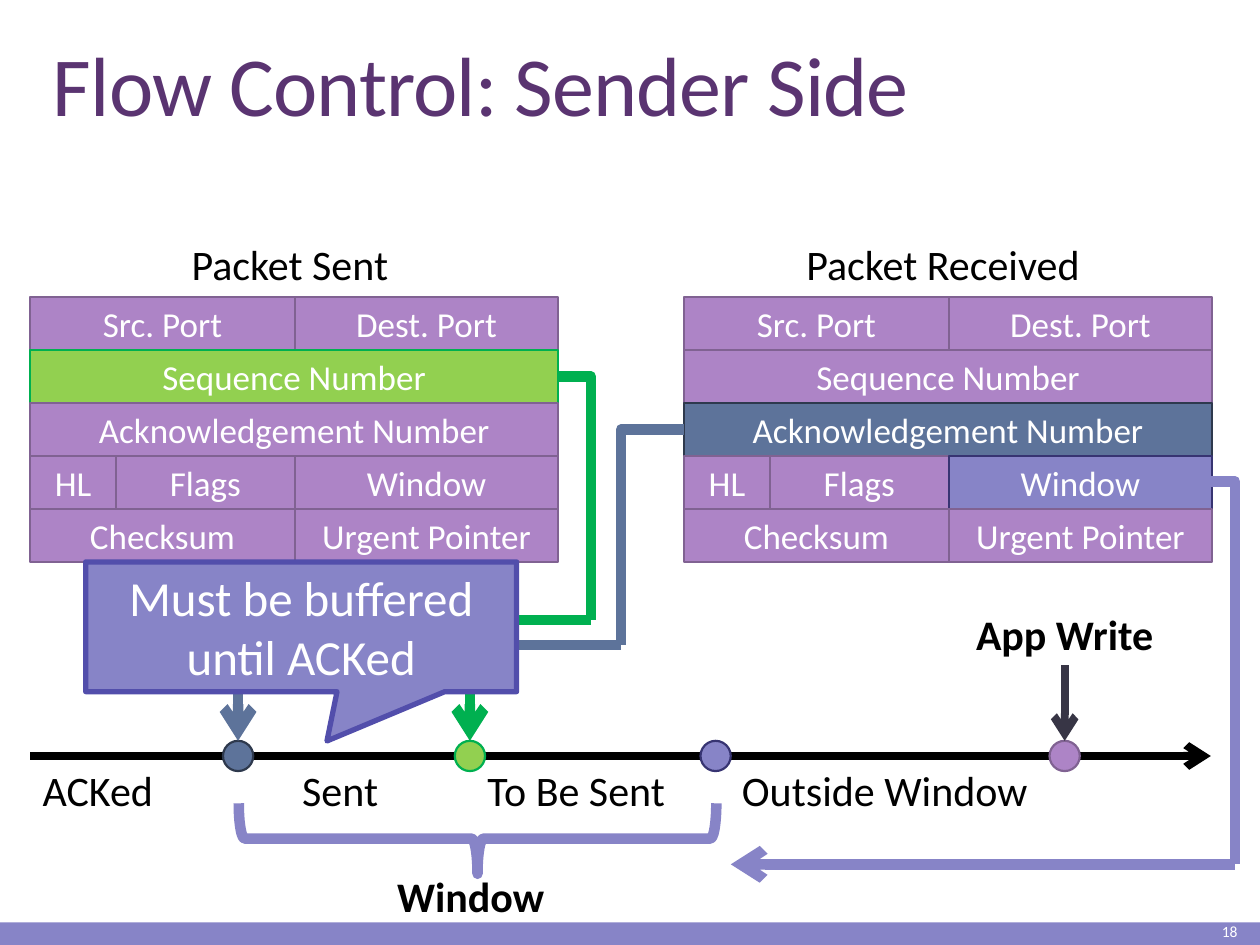
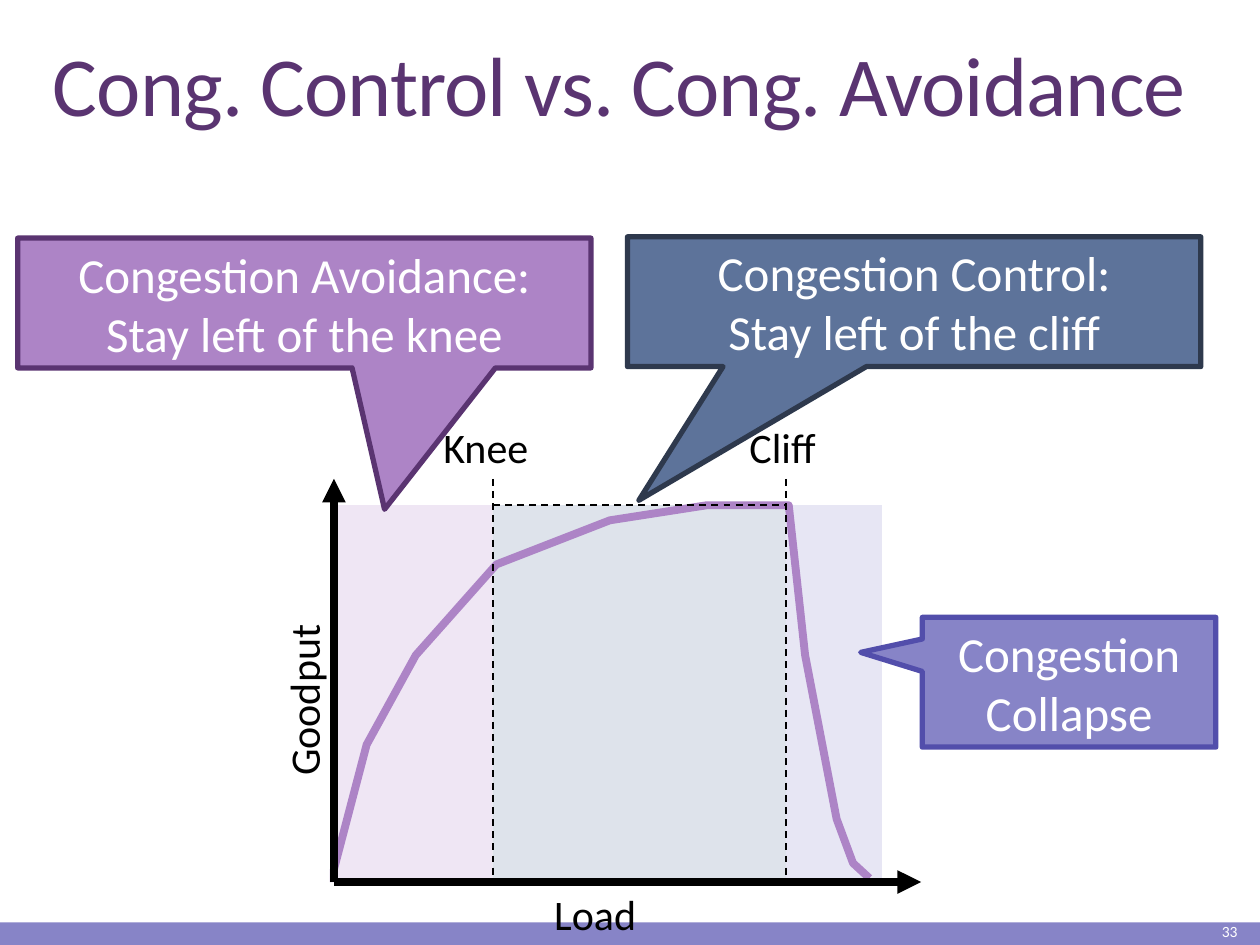
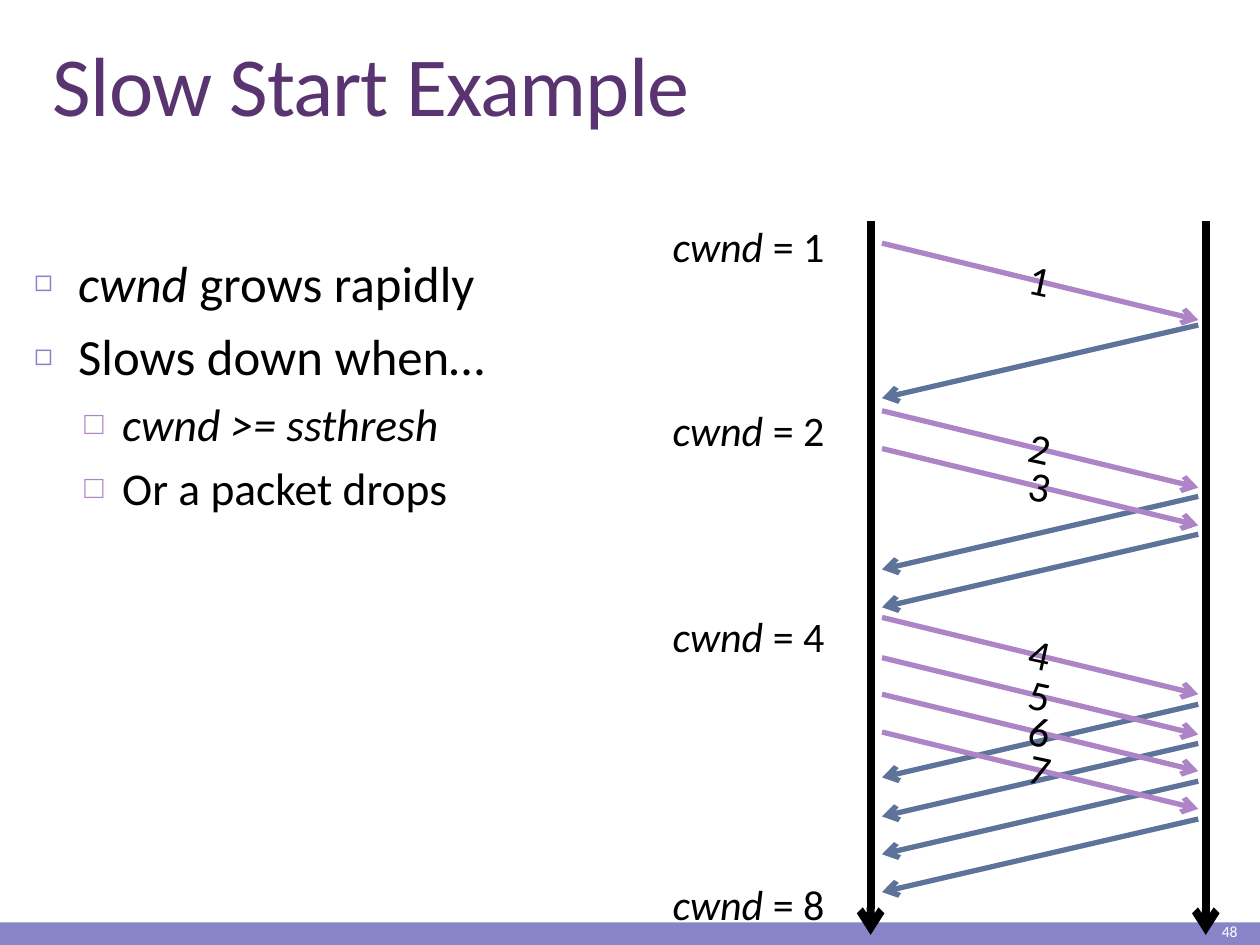
"""Build three slides on flow control, congestion and slow start."""
from lxml import etree
from pptx import Presentation
from pptx.dml.color import RGBColor
from pptx.enum.dml import MSO_LINE
from pptx.enum.shapes import MSO_CONNECTOR as Conn, MSO_SHAPE as Form
from pptx.enum.text import MSO_ANCHOR as Anchor, MSO_AUTO_SIZE as Auto, PP_ALIGN as Align
from pptx.oxml.ns import qn
from pptx.util import Inches, Pt

FONT = "Calibri"
HUE = {
    "white": "FFFFFF", "black": "000000", "title": "5A3471", "ink": "373545",
    "mauve": "AD84C6", "plum": "806292", "slate": "5D739A", "navy": "2E394D",
    "iris": "8784C7", "deep": "373472", "indigo": "524EAB",
    "lime": "92D050", "green": "00B050",
    "pink": "EFE6F4", "mist": "DEE3EB", "lilac": "E7E6F4",
}

ROW = 0.42
CELLS = [
    ("Src. Port", 0, 0, 2.1), ("Dest. Port", 0, 2.1, 2.09),
    ("Sequence Number", 1, 0, 4.19), ("Acknowledgement Number", 2, 0, 4.19),
    ("HL", 3, 0, 0.68), ("Flags", 3, 0.68, 1.42), ("Window", 3, 2.1, 2.09),
    ("Checksum", 4, 0, 2.1), ("Urgent Pointer", 4, 2.1, 2.09),
]
PACKETS = [
    ("Packet Sent", 0.24, (1.29, 1.84, 2.02, 0.5),
     {"Sequence Number": ("lime", "green")}),
    ("Packet Received", 5.43, (6.12, 1.84, 2.73, 0.5),
     {"Acknowledgement Number": ("slate", "navy"), "Window": ("iris", "deep")}),
]
SPANS = [("ACKed", 0.24, 1.27), ("Sent", 2.3, 0.89),
         ("To Be Sent", 3.77, 1.85), ("Outside Window", 5.79, 2.65)]
DOTS = [(1.77, "slate", "navy"), (3.61, "lime", "green"),
        (5.56, "iris", "deep"), (8.33, "mauve", "plum")]
BENDS = [
    ((5.43, 3.41), (4.93, 5.12), "slate", None),
    ((4.93, 5.12), (1.89, 5.88), "slate", "arrow"),
    ((4.43, 2.99), (4.69, 4.92), "green", None),
    ((4.69, 4.92), (3.73, 5.88), "green", "arrow"),
    ((9.61, 3.82), (9.8, 6.86), "iris", None),
]

LEFT, KNEE, CLIFF, EDGE = 2.65, 3.91, 6.24, 7
TOP, BASE = 4.01, 7
ZONES = [(LEFT, KNEE, "pink"), (KNEE, CLIFF, "mist"), (CLIFF, EDGE, "lilac")]
CURVE = [(2.65, 7), (2.65, 6.9), (2.91, 5.91), (3.3, 5.2), (3.94, 4.48),
         (4.84, 4.13), (5.61, 4.01), (6.26, 4.01), (6.39, 5.2), (6.64, 6.5),
         (6.77, 6.85), (6.9, 6.97)]
AXES = [((LEFT, BASE), (LEFT, 3.8)), ((LEFT, BASE), (7.31, BASE))]
GUIDES = [((CLIFF, 3.8), (CLIFF, BASE)), ((KNEE, 3.8), (KNEE, BASE)),
          ((KNEE, TOP), (CLIFF, TOP))]
NAMES = [("Goodput", (1.66, 5.26, 1.49, 0.5), 270), ("Knee", (3.42, 3.3, 0.99, 0.5), 0),
         ("Cliff", (5.85, 3.3, 0.77, 0.5), 0), ("Load", (4.3, 7, 0.95, 0.5), 0)]
ADVICE = [
    ("Congestion Collapse", (7.32, 4.9, 2.33, 1.03), (-0.71, -0.23), "iris", "indigo"),
    ("Congestion Avoidance:\nStay left of the knee", (0.14, 1.89, 4.55, 1.03),
     (0.14, 1.59), "mauve", "title"),
    ("Congestion Control:\nStay left of the cliff", (4.98, 1.88, 4.55, 1.03),
     (-0.48, 1.53), "slate", "navy"),
]

POINTS = [
    (0, [("cwnd", True), (" grows rapidly", False)]),
    (0, [("Slows down when…", False)]),
    (1, [("cwnd >= ssthresh", True)]),
    (1, [("Or a packet drops", False)]),
]
LEVELS = [
    {"size": 29, "left": 0.35, "hang": 0.35, "gap": 7, "mark": "◻", "hue": "iris", "pct": 60},
    {"size": 26, "left": 0.7, "hang": 0.3, "gap": 5.5, "mark": "□", "hue": "mauve", "pct": 70},
]
SENDS = [1.93, 3.26, 3.56, 4.9, 5.22, 5.51, 5.81]
ACKS = [2.58, 3.94, 4.24, 5.59, 5.9, 6.2, 6.5]
SIZES = [(1, 1.7), (2, 3.16), (4, 4.8), (8, 6.92)]
HOSTS = [6.91, 9.57]
NEAR, FAR = 7, 9.51


def rgb(name):
    return RGBColor.from_string(HUE[name])


def box(at):
    return [Inches(v) for v in at]


def style(par, size, hue="black", bold=False, align=Align.LEFT):
    par.alignment = align
    for run in par.runs:
        font = run.font
        font.name, font.size, font.bold = FONT, Pt(size), bold
        font.color.rgb = rgb(hue)


def write(shape, text, size, hue="black", bold=False, align=Align.LEFT):
    frame = shape.text_frame
    frame.word_wrap = True
    frame.text = text
    for par in frame.paragraphs:
        style(par, size, hue, bold, align)


def label(slide, text, at, size=24, turn=0, **look):
    shape = slide.shapes.add_textbox(*box(at))
    shape.rotation = turn
    write(shape, text, size, **look)
    return shape


def paint(shape, fill=None, edge=None, width=1.25):
    shape.shadow.inherit = False
    if fill:
        shape.fill.solid()
        shape.fill.fore_color.rgb = rgb(fill)
    else:
        shape.fill.background()
    if edge:
        shape.line.color.rgb = rgb(edge)
        shape.line.width = Pt(width)
    else:
        shape.line.fill.background()


def block(slide, form, at, fill=None, edge=None, width=1.25, text="", size=20):
    shape = slide.shapes.add_shape(form, *box(at))
    paint(shape, fill, edge, width)
    if text:
        write(shape, text, size, "white", align=Align.CENTER)
        shape.text_frame.vertical_anchor = Anchor.MIDDLE
    return shape


def callout(slide, text, at, tip, fill, edge):
    shape = block(slide, Form.RECTANGULAR_CALLOUT, at, fill, edge, 3, text, 28)
    shape.adjustments[0], shape.adjustments[1] = tip


def link(slide, start, end, hue, width, head=None, dash=None, bent=False):
    kind = Conn.ELBOW if bent else Conn.STRAIGHT
    wire = slide.shapes.add_connector(kind, *box(start), *box(end))
    wire.line.color.rgb = rgb(hue)
    wire.line.width = Pt(width)
    if dash:
        wire.line.dash_style = dash
    props = wire._element.spPr
    if bent:
        props.find(qn("a:prstGeom")).set("prst", "bentConnector2")
    if head:
        etree.SubElement(props.find(qn("a:ln")), qn("a:tailEnd"), type=head)
    etree.SubElement(props, qn("a:effectLst"))
    return wire


def begin(deck, layout, title, page):
    slide = deck.slides.add_slide(deck.slide_layouts[layout])
    block(slide, Form.RECTANGLE, (0, 7.32, 10, 0.18), "iris")
    head = slide.shapes.title
    head.left, head.top, head.width, head.height = box((0.32, 0.31, 9.48, 0.8))
    write(head, title, 48, "title")
    frame = head.text_frame
    frame.auto_size, frame.vertical_anchor = Auto.NONE, Anchor.BOTTOM
    par = frame.paragraphs[0]
    par.line_spacing = 0.85
    par.runs[0].font._element.set("spc", "-50")
    note = label(slide, page, (8.84, 7.28, 1.08, 0.22), 8.9, hue="white", align=Align.RIGHT)
    note.text_frame.vertical_anchor = Anchor.MIDDLE
    return slide


def flow(deck):
    slide = begin(deck, 5, "Flow Control: Sender Side", "18")
    for name, left, at, marked in PACKETS:
        label(slide, name, at, align=Align.CENTER)
        for text, row, shift, wide in CELLS:
            fill, edge = marked.get(text, ("mauve", "plum"))
            place = (left + shift, 2.36 + row * ROW, wide, ROW)
            block(slide, Form.RECTANGLE, place, fill, edge, text=text)
    link(slide, (0.24, 6), (9.61, 6), "black", 4.5, "arrow")
    for text, left, wide in SPANS:
        label(slide, text, (left, 6.02, wide, 0.5))
    for left, fill, edge in DOTS:
        dot = block(slide, Form.OVAL, (left, 5.88, 0.24, 0.24), fill, edge)
    for start, end, hue, head in BENDS:
        link(slide, start, end, hue, 6, head, bent=True)
    link(slide, (9.8, 6.86), (5.8, 6.86), "iris", 6, "arrow")
    brace = block(slide, Form.LEFT_BRACE, (3.51, 4.76, 0.56, 3.79), None, "iris", 6)
    brace.rotation = 270
    label(slide, "Window", (2.99, 6.86, 1.49, 0.5), bold=True, align=Align.CENTER)
    app = label(slide, "App Write", (7.56, 4.78, 1.78, 0.5), bold=True, align=Align.CENTER)
    wire = link(slide, (8.45, 5.28), (8.45, 5.88), "ink", 4.5, "arrow")
    wire.begin_connect(app, 2)
    wire.end_connect(dot, 0)
    callout(slide, "Must be buffered until ACKed", (0.68, 4.46, 3.42, 1.03),
            (0.06, 0.88), "iris", "indigo")


def load(deck):
    slide = begin(deck, 5, "Cong. Control vs. Cong. Avoidance", "33")
    for left, right, hue in ZONES:
        block(slide, Form.RECTANGLE, (left, TOP, right - left, BASE - TOP), hue)
    pen = slide.shapes.build_freeform(*box(CURVE[0]))
    pen.add_line_segments([box(spot) for spot in CURVE[1:]], close=False)
    paint(pen.convert_to_shape(), None, "mauve", 4.5)
    for start, end in AXES:
        link(slide, start, end, "black", 4.5, "triangle")
    for start, end in GUIDES:
        link(slide, start, end, "black", 1, dash=MSO_LINE.DASH)
    for text, at, turn in NAMES:
        label(slide, text, at, turn=turn)
    for item in ADVICE:
        callout(slide, *item)


def bullet(par, look):
    props = par._p.get_or_add_pPr()
    props.set("marL", str(Inches(look["left"])))
    props.set("indent", str(-Inches(look["hang"])))
    tint = etree.SubElement(props, qn("a:buClr"))
    etree.SubElement(tint, qn("a:srgbClr"), val=HUE[look["hue"]])
    etree.SubElement(props, qn("a:buSzPct"), val=str(look["pct"] * 1000))
    etree.SubElement(props, qn("a:buChar"), char=look["mark"])


def mix(par, parts, size):
    for text, slant in parts:
        run = par.add_run()
        run.text = text
        run.font.italic = slant
    style(par, size)


def start(deck):
    slide = begin(deck, 1, "Slow Start Example", "48")
    body = slide.placeholders[1]
    body.left, body.top, body.width, body.height = box((0.17, 1.95, 4.62, 5.38))
    frame = body.text_frame
    frame.auto_size = Auto.NONE
    for i, (level, parts) in enumerate(POINTS):
        par = frame.add_paragraph() if i else frame.paragraphs[0]
        look = LEVELS[level]
        par.level = level
        bullet(par, look)
        par.space_before = Pt(look["gap"] if i else 0)
        mix(par, parts, look["size"])
    for top in ACKS:
        link(slide, (FAR, top), (NEAR, top + 0.58), "slate", 3, "arrow")
    for left in HOSTS:
        link(slide, (left, 1.75), (left, 7.42), "black", 4.5, "arrow")
    for i, top in enumerate(SENDS, 1):
        link(slide, (NEAR, top), (FAR, top + 0.61), "mauve", 3, "arrow")
        label(slide, str(i), (7.7, top + 0.04, 1.11, 0.5), turn=12.3, align=Align.CENTER)
    for count, top in SIZES:
        shape = slide.shapes.add_textbox(*box((5.24, top, 1.56, 0.5)))
        mix(shape.text_frame.paragraphs[0], [("cwnd", True), (f" = {count}", False)], 24)


def main():
    deck = Presentation()
    deck.slide_width, deck.slide_height = Inches(10), Inches(7.5)
    for build in (flow, load, start):
        build(deck)
    deck.save("out.pptx")


if __name__ == "__main__":
    main()
